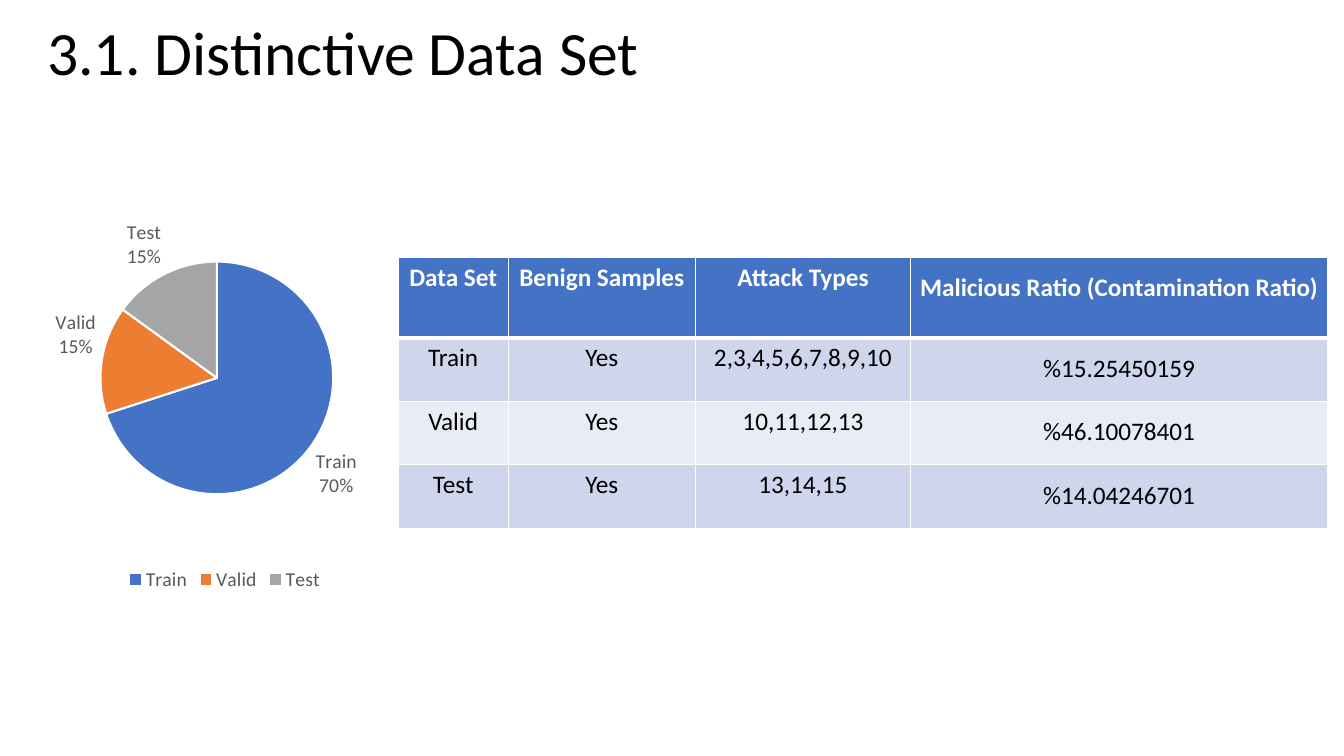
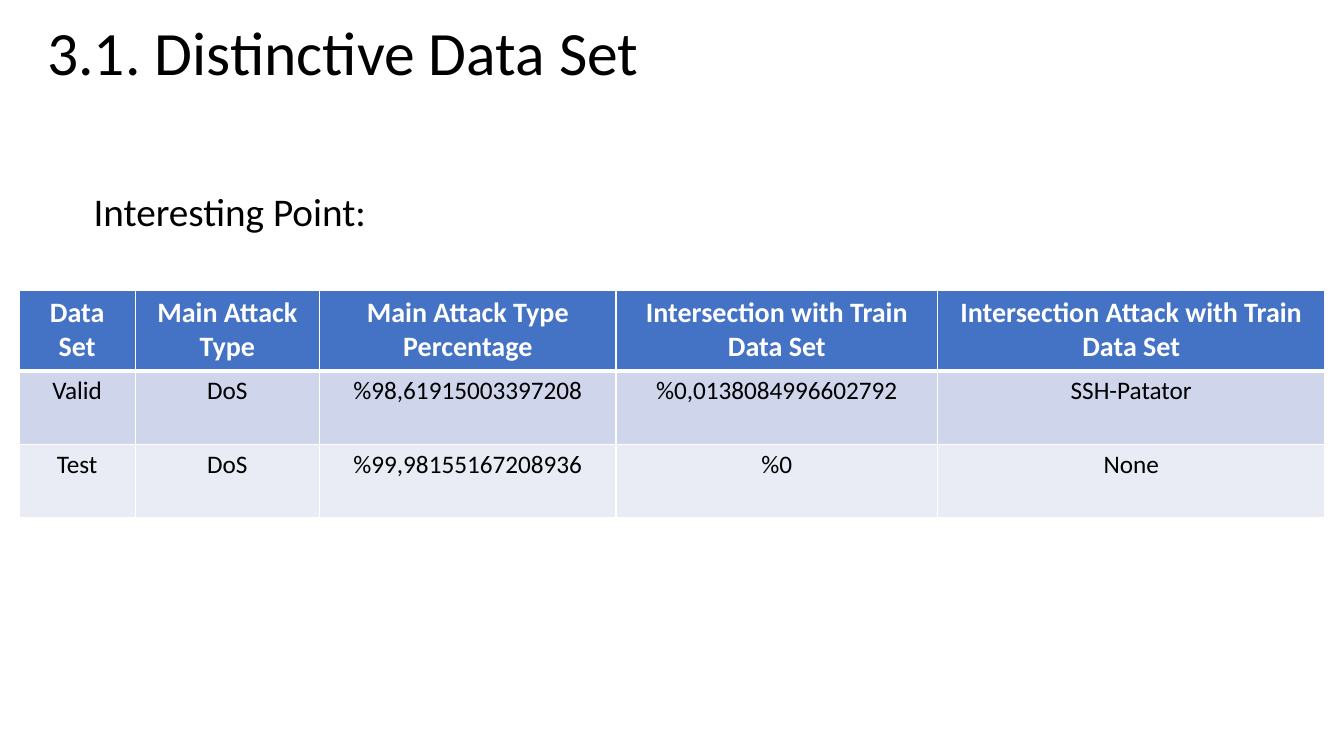
"""Build two slides on the distinctive data set: a split chart and two tables."""
from lxml.etree import SubElement
from pptx import Presentation
from pptx.chart.data import CategoryChartData
from pptx.dml.color import RGBColor
from pptx.enum.chart import XL_CHART_TYPE, XL_LABEL_POSITION, XL_LEGEND_POSITION
from pptx.enum.text import MSO_ANCHOR, PP_ALIGN
from pptx.oxml import parse_xml
from pptx.oxml.ns import nsdecls, qn
from pptx.util import Pt

PX = 9144
FONT = "Calibri"
HEX = {"blue": "4472C4", "orange": "ED7D31", "gray": "A5A5A5", "label": "595959",
       "odd": "CFD5EA", "even": "E9EBF5", "white": "FFFFFF", "black": "000000"}
RGB = {name: RGBColor.from_string(code) for name, code in HEX.items()}


def put_text(slide, box, text, size, anchor):
    frame = slide.shapes.add_textbox(*[n * PX for n in box]).text_frame
    frame.word_wrap = True
    frame.vertical_anchor = anchor
    para = frame.paragraphs[0]
    para.text = text
    para.line_spacing = 0.9
    para.font.size, para.font.name = Pt(size), FONT
    para.font.color.rgb = RGB["black"]


def put_table(slide, left, top, cols, highs, rows, head):
    table = slide.shapes.add_table(len(rows), len(cols), left * PX, top * PX,
                                   sum(cols) * PX, sum(highs) * PX).table
    for col, wide in zip(table.columns, cols):
        col.width = wide * PX
    for r, (row, high) in enumerate(zip(rows, highs)):
        table.rows[r].height = high * PX
        fill = "blue" if r == 0 else "odd" if r % 2 else "even"
        for c, text in enumerate(row):
            cell = table.cell(r, c)
            cell.fill.solid()
            cell.fill.fore_color.rgb = RGB[fill]
            para = cell.text_frame.paragraphs[0]
            para.text = text
            para.alignment = PP_ALIGN.CENTER
            para.font.name = FONT
            para.font.size = Pt(18 if r else head)
            para.font.bold = r == 0
            para.font.color.rgb = RGB["black" if r else "white"]
            thick = {"L": 1, "R": 1, "T": 3 if r == 1 else 1, "B": 1 if r else 3}
            for i, (side, width) in enumerate(thick.items()):
                cell._tc.tcPr.insert(i, parse_xml(
                    f'<a:ln{side} {nsdecls("a")} w="{Pt(width)}"><a:solidFill>'
                    f'<a:srgbClr val="{HEX["white"]}"/></a:solidFill></a:ln{side}>'))
    return table


deck = Presentation()
deck.slide_width, deck.slide_height = 1333 * PX, 750 * PX
split, point = [deck.slides.add_slide(deck.slide_layouts[6]) for _ in range(2)]
for slide in (split, point):
    put_text(slide, (37, 8, 613, 95), "3.1. Distinctive Data Set", 44, MSO_ANCHOR.MIDDLE)

data = CategoryChartData()
data.categories = ["Train", "Valid", "Test"]
data.add_series("Series 1", (70, 15, 15))
chart = split.shapes.add_chart(XL_CHART_TYPE.PIE, 24 * PX, 212 * PX,
                               398 * PX, 379 * PX, data).chart
chart.has_title = False
chart.has_legend = True
chart.legend.position = XL_LEGEND_POSITION.BOTTOM
chart.legend.include_in_layout = False
plot = chart.plots[0]
plot.vary_by_categories = True
plot.has_data_labels = True
labels = plot.data_labels
labels.show_value = False
labels.show_category_name = labels.show_percentage = True
labels.number_format, labels.number_format_is_linked = "0%", False
labels.position = XL_LABEL_POSITION.OUTSIDE_END
for font in (chart.font, chart.legend.font, labels.font):
    font.size, font.name = Pt(14), FONT
    font.color.rgb = RGB["label"]
for i, name in enumerate(("blue", "orange", "gray")):
    form = plot.series[0].points[i].format
    form.fill.solid()
    form.fill.fore_color.rgb = RGB[name]
    form.line.color.rgb = RGB["white"]
    form.line.width = Pt(1.5)

break_tag = parse_xml(f'<c:separator {nsdecls("c")}>\n</c:separator>')
labels._element.find(qn("c:showBubbleSize")).addnext(break_tag)
area = chart._chartSpace.chart.plotArea
for old in area.findall(qn("c:layout")):
    area.remove(old)
layout = parse_xml(f'<c:layout {nsdecls("c")}><c:manualLayout/></c:layout>')
area.insert(0, layout)
for tag, val in (("layoutTarget", "inner"), ("xMode", "edge"), ("yMode", "edge"),
                 ("x", "0.19"), ("y", "0.08"), ("w", "0.58"), ("h", "0.7")):
    SubElement(layout[0], qn(f"c:{tag}")).set("val", val)

table = put_table(split, 395, 255, (109, 186, 213, 414), (80, 63, 63, 63), (
    ("Data Set", "Benign Samples", "Attack Types", "Malicious Ratio (Contamination Ratio)"),
    ("Train", "Yes", "2,3,4,5,6,7,8,9,10", "%15.25450159"),
    ("Valid", "Yes", "10,11,12,13", "%46.10078401"),
    ("Test", "Yes", "13,14,15", "%14.04246701")), 18)
for row in table.rows:
    ratio = row.cells[3]
    ratio.margin_left = ratio.margin_right = 7 * PX
    ratio.margin_top = ratio.margin_bottom = 0
    para = ratio.text_frame.paragraphs[0]
    para.line_spacing, para.space_after = 1.5, Pt(8)

put_text(point, (83, 186, 561, 102), "Interesting Point:", 28, MSO_ANCHOR.TOP)
put_table(point, 19, 288, (115, 183, 294, 319, 384), (80, 73, 73), (
    ("Data Set", "Main Attack Type", "Main Attack Type Percentage",
     "Intersection with Train Data Set", "Intersection Attack with Train Data Set"),
    ("Valid", "DoS", "%98,61915003397208", "%0,0138084996602792", "SSH-Patator"),
    ("Test", "DoS", "%99,98155167208936", "%0", "None")), 20)

deck.save("out.pptx")
